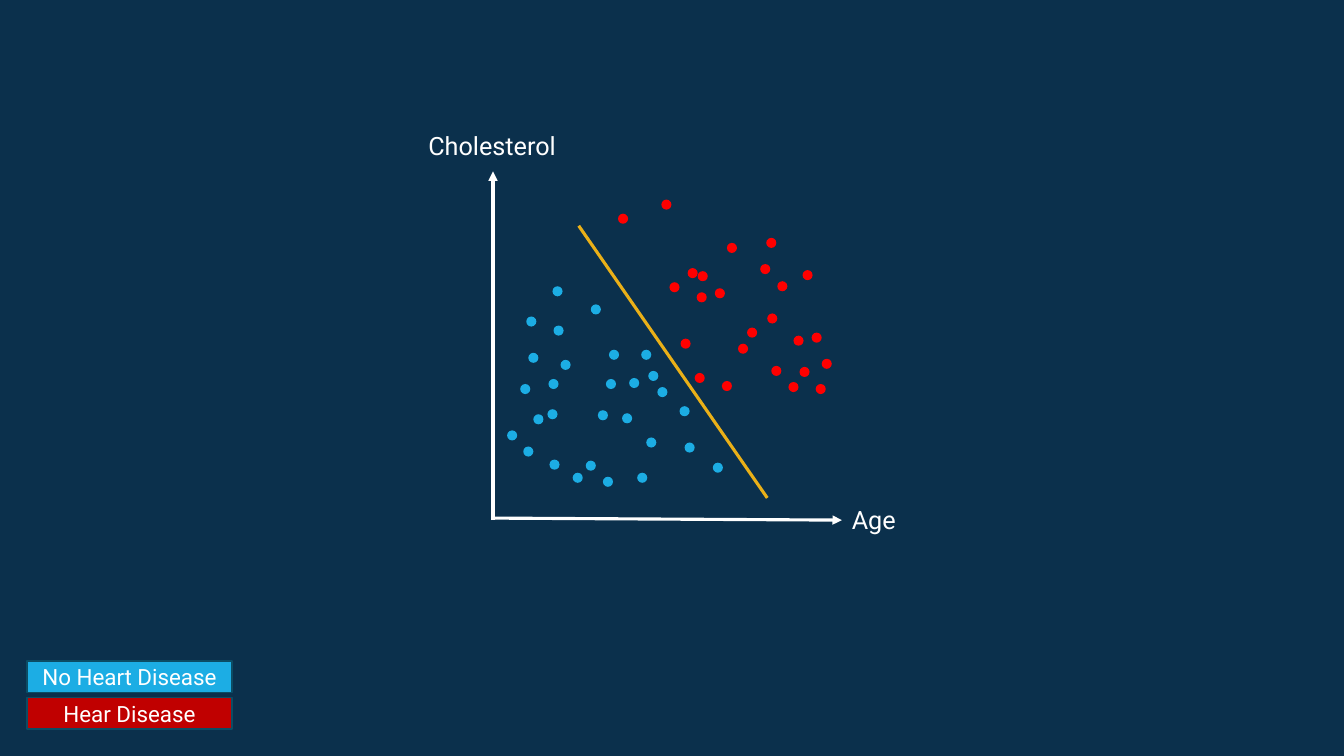
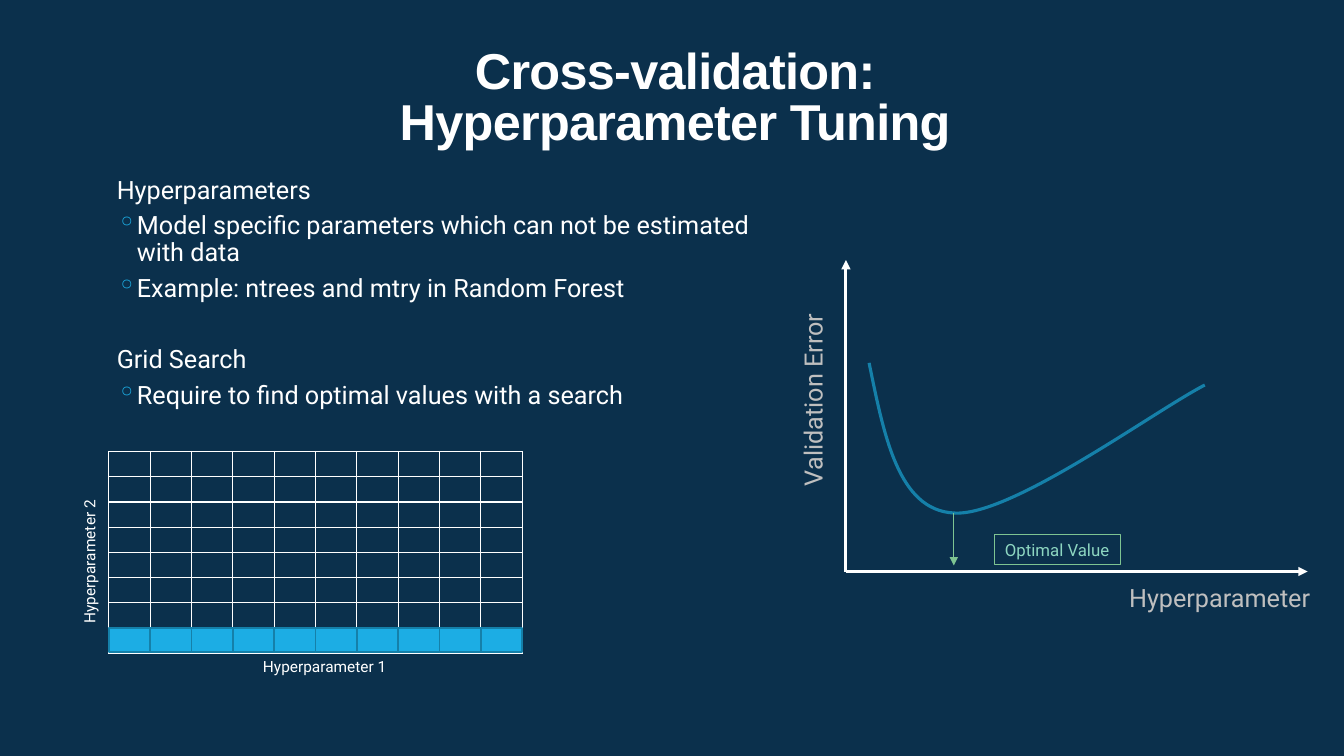
"""Build two slides on class borders and hyperparameter tuning."""
from lxml.etree import SubElement
from pptx import Presentation
from pptx.dml.color import RGBColor
from pptx.enum.shapes import MSO_CONNECTOR, MSO_SHAPE
from pptx.enum.text import MSO_ANCHOR, MSO_AUTO_SIZE, PP_ALIGN
from pptx.oxml.ns import qn
from pptx.util import Emu, Pt

STRAIGHT = MSO_CONNECTOR.STRAIGHT
RECT, OVAL = MSO_SHAPE.RECTANGLE, MSO_SHAPE.OVAL
TOP, MIDDLE = MSO_ANCHOR.TOP, MSO_ANCHOR.MIDDLE
LEFT, CENTER = PP_ALIGN.LEFT, PP_ALIGN.CENTER
FIXED = MSO_AUTO_SIZE.NONE

SCALE = 9144
SIZE = (1333, 750)
THEME = {
    "back": "0B304C", "white": "FFFFFF", "gray": "BFBFBF",
    "blue": "1CADE4", "red": "FF0000", "dark": "C00000",
    "edge": "0C4C64", "gold": "EAB018", "teal": "1580A9",
    "green": "7EC492", "mint": "8DD6C1",
    "body": "Roboto", "head": "Arial",
    "title": 36, "text": 18, "key": 16, "note": 12, "small": 11,
}

DOT = 10
DOTS = {
    "blue": [
        (548, 284), (556, 357), (601, 376), (586, 302), (522, 314),
        (524, 350), (617, 410), (549, 323), (674, 403), (632, 469),
        (581, 457), (679, 439), (641, 434), (707, 459), (643, 368),
        (544, 376), (516, 381), (598, 473), (593, 407), (543, 406),
        (503, 427), (545, 456), (519, 443), (529, 411), (568, 469),
        (604, 347), (636, 347), (624, 375), (652, 384)],
    "red": [
        (765, 363), (787, 333), (793, 364), (782, 379), (809, 381),
        (815, 356), (732, 341), (656, 198), (664, 280), (691, 290),
        (796, 268), (721, 241), (805, 330), (692, 269), (709, 286),
        (689, 370), (760, 236), (716, 378), (754, 262), (761, 311),
        (771, 279), (682, 266), (613, 212), (741, 325), (675, 336)],
}
PLOT_AXES = [((489, 516), (489, 170)), ((489, 514), (835, 516))]
PLOT_TAGS = [
    ("Age", (835, 495, 64, 40), "text", "white", 0),
    ("Cholesterol", (415, 124, 148, 40), "text", "white", 0)]
BORDER = ((574, 224), (761, 494))
KEYS = [("No Heart Disease", "blue"), ("Hear Disease", "dark")]
KEY_BOX, KEY_STEP = (27, 656, 203, 31), 36

TITLE = ["Cross-validation:", "Hyperparameter Tuning"]
TITLE_BOX = (144, 43, 1051, 123)
TOPICS = [
    ("Hyperparameters", [
        "Model specific parameters which can not be estimated with data",
        "Example: ntrees and mtry in Random Forest"]),
    ("Grid Search", ["Require to find optimal values with a search"])]
TOPIC_BOX = (84, 171, 706, 337)
TOPIC_GAP = 27.5
ERROR_AXES = [((839, 567), (1297, 567)), ((839, 567), (839, 258))]
ERROR_TAGS = [
    ("Hyperparameter", (1110, 573, 202, 40), "text", "gray", 0),
    ("Validation Error", (709, 375, 194, 40), "text", "gray", 270),
    ("Hyperparameter 2", (17, 542, 144, 29), "small", "white", 270),
    ("Hyperparameter 1", (251, 647, 144, 29), "small", "white", 0)]
CURVE = [(862, 360), (877, 433), (891, 506), (946, 509),
         (1002, 513), (1143, 409), (1195, 382)]
DROP = ((946, 509), (946, 561))
BEST = ("Optimal Value", (986, 530, 125, 30))
GRID = {"left": 108, "top": 448, "cols": 10, "rows": 8,
        "wide": 41, "high": 25}


def px(*vals):
    return [Emu(val * SCALE) for val in vals]


def tint(name):
    return RGBColor.from_string(THEME[name])


def apply(item, **vals):
    for name, val in vals.items():
        setattr(item, name, val)


def ink(part, size, color, face="body", **more):
    apply(part.font, name=THEME[face], size=Pt(THEME[size]), **more)
    part.font.color.rgb = tint(color)


def write(para, text, size, color, **more):
    run = para.add_run()
    run.text = text
    ink(run, size, color, **more)
    return run


def stroke(line, color, width):
    line.color.rgb = tint(color)
    line.width = Pt(width)


def rule(shapes, ends, color, width=2.25, arrow=False):
    (x, y), (u, v) = ends
    link = shapes.add_connector(STRAIGHT, *px(x, y, u, v))
    stroke(link.line, color, width)
    props = link._element.spPr
    if arrow:
        SubElement(props.find(qn("a:ln")), qn("a:tailEnd"), type="triangle")
    SubElement(props, qn("a:effectLst"))


def block(shapes, kind, box, fill=None, edge=None, width=1.25):
    shape = shapes.add_shape(kind, *px(*box))
    shape.shadow.inherit = False
    if fill:
        shape.fill.solid()
        shape.fill.fore_color.rgb = tint(fill)
    else:
        shape.fill.background()
    if edge:
        stroke(shape.line, edge, width)
    else:
        shape.line.fill.background()
    return shape


def label(shape, text, size, color):
    frame = shape.text_frame
    apply(frame, word_wrap=False, vertical_anchor=MIDDLE)
    para = frame.paragraphs[0]
    para.alignment = CENTER
    write(para, text, size, color)


def tag(shapes, text, box, size, color, turn):
    note = shapes.add_textbox(*px(*box))
    note.rotation = turn
    note.text_frame.word_wrap = False
    write(note.text_frame.paragraphs[0], text, size, color)


def frame_axes(shapes, axes, tags):
    for ends in axes:
        rule(shapes, ends, "white", arrow=True)
    for item in tags:
        tag(shapes, *item)


def add_title(slide):
    title = slide.shapes.title
    left, top, width, height = px(*TITLE_BOX)
    apply(title, left=left, top=top, width=width, height=height)
    frame = title.text_frame
    apply(frame, word_wrap=True, auto_size=FIXED, vertical_anchor=TOP)
    for num, text in enumerate(TITLE):
        para = frame.add_paragraph() if num else frame.paragraphs[0]
        apply(para, alignment=CENTER, line_spacing=0.85)
        run = write(para, text, "title", "white", face="head", bold=True)
        run.font._element.set("spc", "-50")


def add_topics(shapes):
    frame = shapes.add_textbox(*px(*TOPIC_BOX)).text_frame
    frame.word_wrap = True
    lines = []
    for num, (head, points) in enumerate(TOPICS):
        lines.append((head, False, TOPIC_GAP if num else 0))
        lines += [(point, True, 2) for point in points]
    for num, (text, point, gap) in enumerate(lines):
        para = frame.add_paragraph() if num else frame.paragraphs[0]
        props = para._p.get_or_add_pPr()
        left, hang = px(42, -20) if point else px(22, 0)
        props.set("marL", str(left))
        props.set("indent", str(hang))
        if point:
            color = SubElement(props, qn("a:buClr"))
            SubElement(color, qn("a:srgbClr"), val=THEME["blue"])
            SubElement(props, qn("a:buChar"), char="◦")
        apply(para, alignment=LEFT, line_spacing=0.9,
              space_before=Pt(gap), space_after=Pt(4))
        write(para, text, "text", "white")


def add_curve(shapes):
    pen = shapes.build_freeform(*CURVE[0], scale=SCALE)
    pen.add_line_segments(CURVE[1:], close=False)
    shape = pen.convert_to_shape()
    shape.shadow.inherit = False
    shape.fill.background()
    stroke(shape.line, "teal", 2.25)
    steps = list(shape._element.iter(qn("a:lnTo")))
    for num in range(0, len(steps), 3):
        trio = steps[num:num + 3]
        bend = SubElement(trio[0].getparent(), qn("a:cubicBezTo"))
        for step in trio:
            bend.append(step[0])
            step.getparent().remove(step)


def edge_cell(cell):
    apply(cell, margin_left=0, margin_right=0, margin_top=0, margin_bottom=0)
    cell.fill.background()
    props = cell._tc.get_or_add_tcPr()
    for num, side in enumerate("LRTB"):
        line = SubElement(props, qn("a:ln" + side), w=str(Pt(1)))
        fill = SubElement(line, qn("a:solidFill"))
        SubElement(fill, qn("a:srgbClr"), val=THEME["white"])
        props.insert(num, line)
    para = cell.text_frame.paragraphs[0]._p
    SubElement(para, qn("a:endParaRPr"), sz=str(THEME["small"] * 100))


def add_grid(shapes):
    left, top, cols, rows, wide, high = GRID.values()
    box = px(left, top, cols * wide, rows * high)
    table = shapes.add_table(rows, cols, *box).table
    apply(table, first_row=False, horz_banding=False)
    for col in table.columns:
        col.width = Emu(wide * SCALE)
    for row in table.rows:
        row.height = Emu(high * SCALE)
    for cell in table.iter_cells():
        edge_cell(cell)
    base = top + (rows - 1) * high
    for num in range(cols):
        block(shapes, RECT, (left + num * wide, base, wide, high - 1),
              "blue", "teal")


def plot_slide(deck):
    shapes = deck.slides.add_slide(deck.slide_layouts[6]).shapes
    plot = shapes.add_group_shape().shapes
    frame_axes(plot, PLOT_AXES, PLOT_TAGS)
    for color, spots in DOTS.items():
        for x, y in spots:
            block(plot, OVAL, (x, y, DOT, DOT), color)
    rule(shapes, BORDER, "gold")
    left, top, width, height = KEY_BOX
    for num, (text, color) in enumerate(KEYS):
        box = (left, top + num * KEY_STEP, width, height)
        label(block(shapes, RECT, box, color, "edge"), text, "key", "white")


def tune_slide(deck):
    slide = deck.slides.add_slide(deck.slide_layouts[5])
    shapes = slide.shapes
    add_title(slide)
    add_topics(shapes)
    add_curve(shapes)
    rule(shapes, DROP, "green", 1, True)
    text, box = BEST
    label(block(shapes, RECT, box, edge="green", width=0.75),
          text, "note", "mint")
    add_grid(shapes)
    frame_axes(shapes, ERROR_AXES, ERROR_TAGS)


def main():
    deck = Presentation()
    deck.slide_width, deck.slide_height = px(*SIZE)
    fill = deck.slide_master.background.fill
    fill.solid()
    fill.fore_color.rgb = tint("back")
    plot_slide(deck)
    tune_slide(deck)
    deck.save("out.pptx")


if __name__ == "__main__":
    main()
